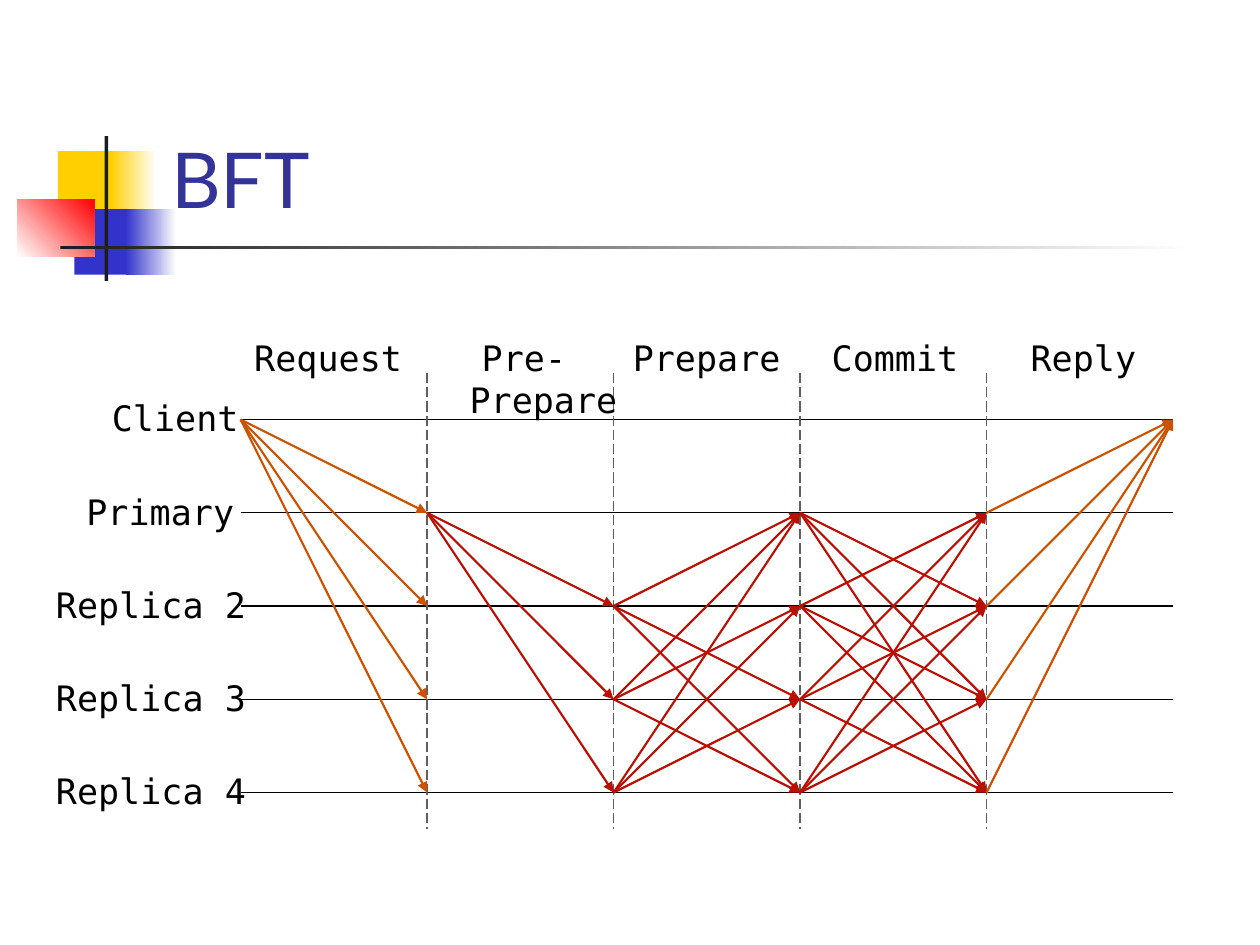
from itertools import product

from lxml import etree
from pptx import Presentation
from pptx import util as u
from pptx.dml.color import RGBColor
from pptx.enum import dml, shapes, text
from pptx.oxml import ns

WHITE = RGBColor(0xFF, 0xFF, 0xFF)
BLACK = RGBColor(0, 0, 0)
INK = RGBColor(0x1C, 0x1C, 0x1C)
YELLOW = RGBColor(0xFF, 0xCF, 0x01)
BLUE = RGBColor(0x33, 0x33, 0xCC)
RED = RGBColor(0xFF, 0, 0)
NAVY = RGBColor(0x33, 0x33, 0x99)
GRAY = RGBColor(0x63, 0x5E, 0x5D)
ORANGE = RGBColor(0xCA, 0x52, 0x00)
CRIMSON = RGBColor(0xB9, 0x10, 0x03)

WIDTH, HEIGHT = u.Inches(10), u.Inches(7.5)
LEFT, TOP = u.Inches(1.91), u.Inches(3.33)
COL, ROW = u.Inches(1.48), u.Inches(0.74)

NODES = [("Client", -1.22, 1.4), ("Primary", -1.4, 1.6), ("Replica 2", -1.45, 1.6),
         ("Replica 3", -1.45, 1.6), ("Replica 4", -1.45, 1.6)]
PHASES = [("Request", -0.5), ("Pre-Prepare", 0.55), ("Prepare", 1.53),
          ("Commit", 2.54), ("Reply", 3.55)]
CLIENT, PRIMARY, BACKUPS = [0], [1], [2, 3, 4]
REPLICAS = PRIMARY + BACKUPS
MESSAGES = [(CLIENT, REPLICAS, ORANGE), (PRIMARY, BACKUPS, CRIMSON),
            (BACKUPS, REPLICAS, CRIMSON), (REPLICAS, REPLICAS, CRIMSON),
            (REPLICAS, CLIENT, ORANGE)]


def share(x, y, w, h):
    return [int(v * side / 100) for v, side in zip((x, y, w, h), (WIDTH, HEIGHT) * 2)]


def point(col, row):
    return int(LEFT + col * COL), int(TOP + row * ROW)


def cell(col, row, cols, rows):
    return [*point(col, row), int(cols * COL), int(rows * ROW)]


def add_block(s, box, color, end=None, angle=0):
    sp = s.shapes.add_shape(shapes.MSO_SHAPE.RECTANGLE, *box)
    sp.shadow.inherit = False
    sp.line.fill.background()
    if end is None:
        sp.fill.solid()
        sp.fill.fore_color.rgb = color
        return
    sp.fill.gradient()
    sp.fill.gradient_angle = angle
    for stop, rgb in zip(sp.fill.gradient_stops, (color, end)):
        stop.color.rgb = rgb


def add_text(s, box, content, *, size=20, font="DejaVu Sans Mono", color=BLACK,
             align=text.PP_ALIGN.CENTER, anchor=text.MSO_ANCHOR.TOP,
             margin=0.81, indent=-0.31):
    tf = s.shapes.add_textbox(*box).text_frame
    tf.word_wrap = True
    tf.vertical_anchor = anchor
    p = tf.paragraphs[0]
    p.alignment = align
    pPr = p._p.get_or_add_pPr()
    pPr.set("marL", str(u.Inches(margin)))
    pPr.set("indent", str(u.Inches(indent)))
    r = p.add_run()
    r.text = content
    r.font.size = u.Pt(size)
    r.font.name = font
    r.font.color.rgb = color


def add_line(s, start, end, color, width=0.75, dash=None, arrow=False):
    ln = s.shapes.add_connector(shapes.MSO_CONNECTOR.STRAIGHT, *point(*start), *point(*end))
    ln.line.color.rgb = color
    ln.line.width = u.Pt(width)
    if dash:
        ln.line.dash_style = dash
    if arrow:
        etree.SubElement(ln.line._get_or_add_ln(), ns.qn("a:tailEnd"), type="triangle")
    etree.SubElement(ln._element.spPr, ns.qn("a:effectLst"))


def add_header(s):
    add_block(s, share(4.6, 16, 4.8, 6.93), YELLOW)
    add_block(s, share(8.8, 16, 3.6, 6.93), YELLOW, WHITE)
    add_block(s, share(5.9, 22.13, 4.6, 6.93), BLUE)
    add_block(s, share(10, 22.13, 4, 6.93), BLUE, WHITE)
    add_block(s, share(1.4, 21.07, 6.1, 6.13), WHITE, RED, angle=45)
    add_block(s, share(8.3, 14.4, 0.3, 15.33), INK)
    add_block(s, share(4.8, 26, 90, 0.4), INK, WHITE)
    add_text(s, share(12.6, 3.07, 85.2, 21.33), "BFT", size=44, font="Lato", color=NAVY,
             align=text.PP_ALIGN.LEFT, anchor=text.MSO_ANCHOR.BOTTOM, margin=0, indent=0)


def add_grid(s):
    for row, (name, left, cols) in enumerate(NODES):
        add_line(s, (0, row), (len(PHASES), row), BLACK)
        add_text(s, cell(left, row - 0.31, cols, 0.6), name)
    for col in range(1, len(PHASES)):
        add_line(s, (col, -0.5), (col, 4.39), GRAY, dash=dml.MSO_LINE.LONG_DASH)
    for name, left in PHASES:
        add_text(s, cell(left, -0.96, 1.6, 0.6), name)


def add_messages(s):
    for col, (senders, receivers, color) in enumerate(MESSAGES):
        for a, b in product(senders, receivers):
            if a != b:
                add_line(s, (col, a), (col + 1, b), color, width=1.25, arrow=True)


def main():
    prs = Presentation()
    prs.slide_width, prs.slide_height = WIDTH, HEIGHT
    s = prs.slides.add_slide(prs.slide_layouts[6])
    add_header(s)
    add_grid(s)
    add_messages(s)
    prs.save("out.pptx")


if __name__ == "__main__":
    main()
